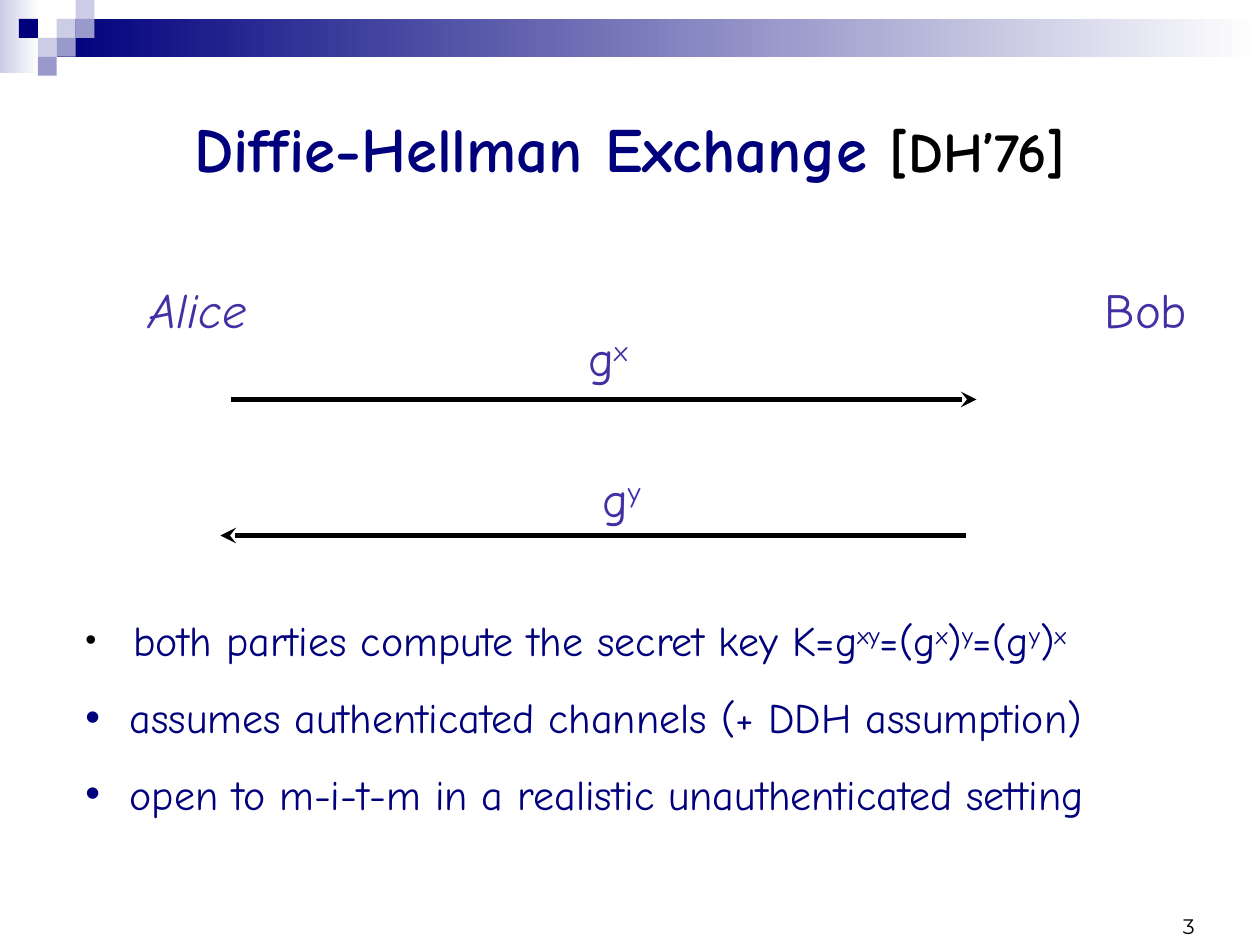
from dataclasses import dataclass

from lxml import etree
from pptx import Presentation
from pptx.dml.color import RGBColor as RGB
from pptx.enum.shapes import MSO_CONNECTOR as Link, MSO_SHAPE as Shape
from pptx.enum.text import MSO_ANCHOR as Anchor, PP_ALIGN as Align
from pptx.oxml.ns import qn
from pptx.util import Inches, Pt


@dataclass(frozen=True)
class Theme:
    navy: str = "00007D"
    violet: str = "4330A4"
    mid: str = "9999CC"
    pale: str = "CCCCE6"
    white: str = "FFFFFF"
    black: str = "000000"
    font: str = "Comic Neue"
    plain: str = "Montserrat"
    title: int = 36
    cite: int = 32
    label: int = 28
    body: int = 24
    small: int = 12


T = Theme()


def write(para, text, size=T.body, color=T.navy, font=T.font, bold=False, italic=False):
    """Add text to a paragraph; every second part between bars is raised."""
    for i, part in enumerate(text.split("|")):
        if not part:
            continue
        run = para.add_run()
        run.text = part
        face = run.font
        face.size, face.name = Pt(size), font
        face.bold, face.italic = bold, italic
        face.color.rgb = RGB.from_string(color)
        if i % 2:
            run._r.get_or_add_rPr().set("baseline", "30000")


def frame(slide, box, anchor=Anchor.TOP, align=Align.LEFT):
    area = slide.shapes.add_textbox(*map(Inches, box)).text_frame
    area.word_wrap = True
    area.vertical_anchor = anchor
    area.paragraphs[0].alignment = align
    return area


def block(slide, box, *colors):
    """Rectangle with one colour, or with two shading left to right."""
    rect = slide.shapes.add_shape(Shape.RECTANGLE, *map(Inches, box))
    rect.shadow.inherit = False
    rect.line.fill.background()
    if len(colors) == 1:
        rect.fill.solid()
        rect.fill.fore_color.rgb = RGB.from_string(colors[0])
    else:
        rect.fill.gradient()
        rect.fill.gradient_angle = 0
        for stop, color in zip(rect.fill.gradient_stops, colors):
            stop.color.rgb = RGB.from_string(color)


def banner(slide, box):
    x, y, wide, high = box
    unit = 0.15
    block(slide, (x, y, 0.31, high), T.pale, T.white)
    block(slide, (x + 3 * unit, y + unit, wide - 3 * unit, 2 * unit), T.navy, T.white)
    # Checkered squares: column, row, colour
    for col, row, color in [
        (3, 1, T.pale), (4, 0, T.pale), (4, 1, T.mid), (2, 2, T.pale),
        (1, 1, T.navy), (3, 2, T.mid), (2, 3, T.mid),
    ]:
        block(slide, (x + col * unit, y + row * unit, unit, unit), color)


def heading(slide, box):
    para = frame(slide, box, Anchor.MIDDLE, Align.CENTER).paragraphs[0]
    write(para, "Diffie-Hellman Exchange ", size=T.title, bold=True)
    write(para, "[DH’76]", size=T.cite, color=T.black, bold=True)


def arrow(slide, start, end, y):
    line = slide.shapes.add_connector(
        Link.STRAIGHT, Inches(start), Inches(y), Inches(end), Inches(y))
    line.line.color.rgb = RGB.from_string(T.black)
    line.line.width = Pt(3)
    etree.SubElement(line.line._get_or_add_ln(), qn("a:tailEnd"), type="stealth")
    etree.SubElement(line._element.spPr, qn("a:effectLst"))


def exchange(slide, box):
    x, y, wide, high = box
    # Parties and messages: text, left, top, italic
    for text, left, top, slant in [
        ("Alice", 0, 0, True), ("Bob", 7.59, 0, False),
        ("g|x|", 3.49, 0.38, False), ("g|y|", 3.6, 1.5, False),
    ]:
        area = frame(slide, (x + left, y + top, 1.1, 0.57))
        write(area.paragraphs[0], text, size=T.label, color=T.violet, italic=slant)
    # One arrow each way
    arrow(slide, x + 0.75, x + 6.67, y + 1)
    arrow(slide, x + 6.59, x + 0.67, y + high)


def bullet(para, hang, color, scale):
    props = para._p.get_or_add_pPr()
    props.set("marL", str(Inches(hang)))
    props.set("indent", str(-Inches(hang)))
    tint = etree.SubElement(props, qn("a:buClr"))
    etree.SubElement(tint, qn("a:srgbClr"), val=color)
    etree.SubElement(props, qn("a:buSzPct"), val=str(scale * 1000))
    etree.SubElement(props, qn("a:buFont"), typeface="Arial")
    etree.SubElement(props, qn("a:buChar"), char="•")


def notes(slide, box):
    area = frame(slide, box)
    for i, (text, hang, color, scale) in enumerate([
        ("both parties compute the secret key K=g|xy|=(g|x|)|y|=(g|y|)|x|",
         0.38, T.black, 75),
        ("assumes authenticated channels (+ DDH assumption)", 0.35, T.navy, 100),
        ("open to m-i-t-m in a realistic unauthenticated setting", 0.35, T.navy, 100),
    ]):
        para = area.add_paragraph() if i else area.paragraphs[0]
        if i:
            para.space_before = Pt(15)
        bullet(para, hang, color, scale)
        write(para, text)


def number(slide, box):
    para = frame(slide, box, Anchor.BOTTOM, Align.RIGHT).paragraphs[0]
    write(para, "3", size=T.small, color=T.black, font=T.plain)


def main():
    deck = Presentation()
    deck.slide_width, deck.slide_height = Inches(10), Inches(7.5)
    slide = deck.slides.add_slide(deck.slide_layouts[6])
    banner(slide, (0, 0, 10, 0.58))
    heading(slide, (0.5, 0.42, 9, 1.5))
    exchange(slide, (1.08, 2.17, 8.6, 2.08))
    notes(slide, (0.58, 4.83, 9.17, 1.72))
    number(slide, (7.25, 7, 2.33, 0.5))
    deck.save("out.pptx")


if __name__ == "__main__":
    main()
